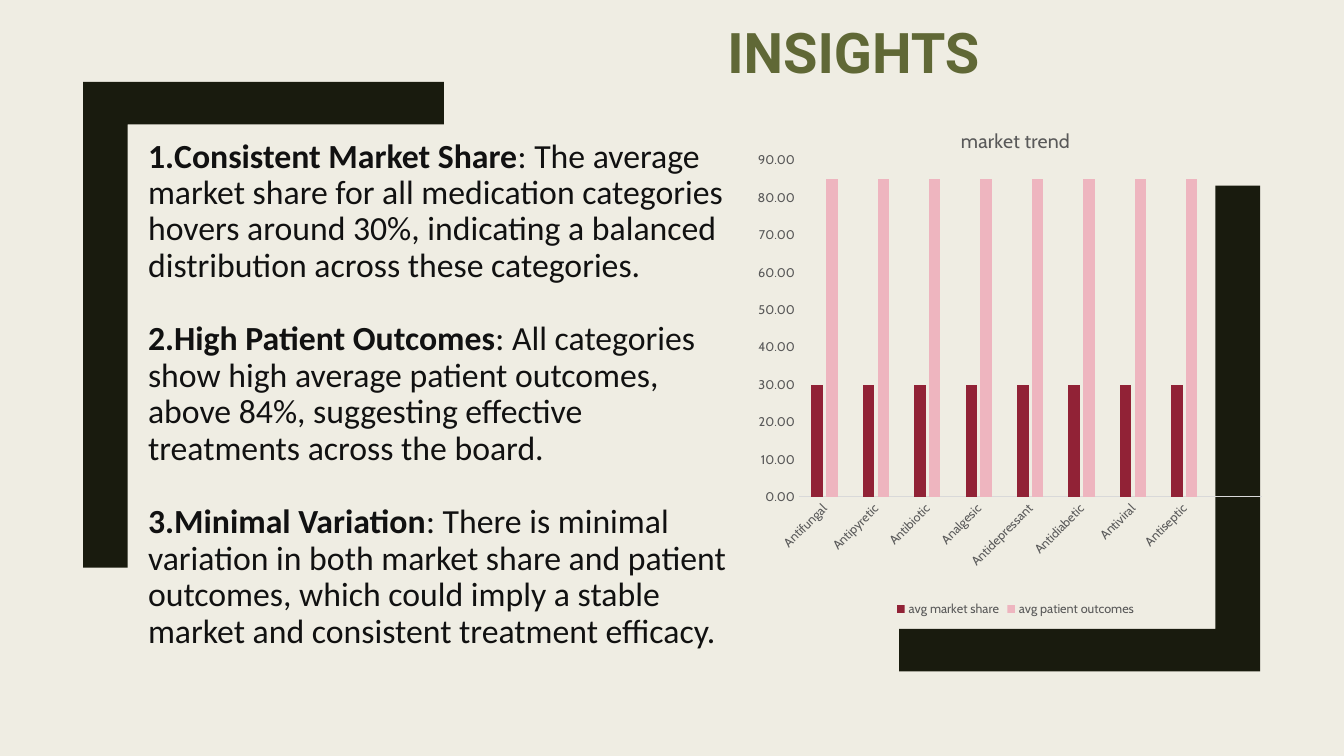
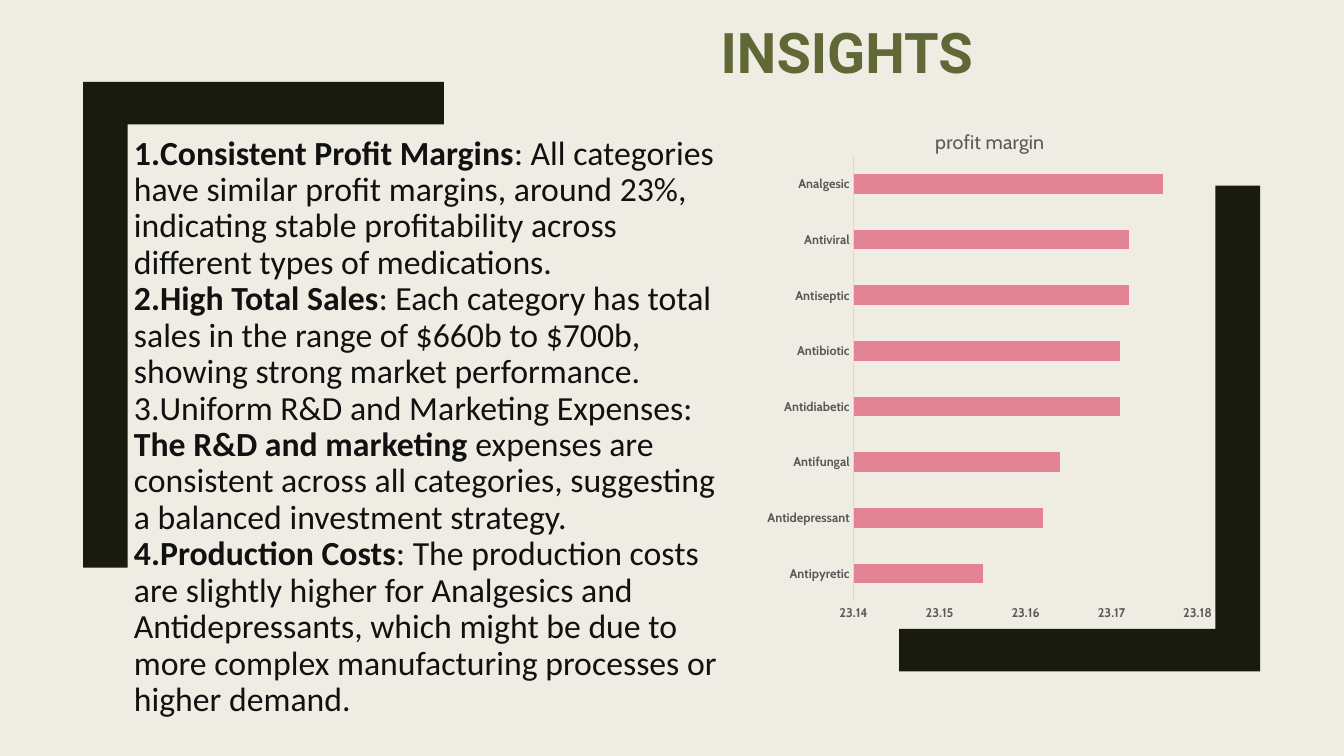
from dataclasses import dataclass

import pptx
import pptx.chart.chart
import pptx.chart.data
import pptx.dml.color
import pptx.enum.chart
import pptx.enum.text
import pptx.oxml
import pptx.oxml.ns
import pptx.slide
import pptx.text.text
import pptx.util
from lxml import etree

qn = pptx.oxml.ns.qn
ChartType = pptx.enum.chart.XL_CHART_TYPE


@dataclass(frozen=True)
class Theme:
    paper: str = "EFEDE3"
    bracket: str = "191B0E"
    title: str = "606836"
    body: str = "111111"
    chart_text: str = "595959"
    axis_line: str = "D9D9D9"
    title_font: str = "Roboto"
    body_font: str = "Calibri"
    chart_font: str = "Cabin"
    title_size: float = 40
    body_size: float = 24.1
    chart_title_size: float = 14
    label_size: float = 9
    line_spacing: float = 0.9


THEME = Theme()

# Grid: 100 columns by 100 rows
SLIDE_WIDTH, SLIDE_HEIGHT = pptx.util.Inches(13.33), pptx.util.Inches(7.5)


def columns(count: float) -> int:
    return round(SLIDE_WIDTH * count / 100)


def rows(count: float) -> int:
    return round(SLIDE_HEIGHT * count / 100)


@dataclass(frozen=True)
class Area:
    column: float
    row: float
    width: float
    height: float

    def box(self) -> tuple[int, int, int, int]:
        return columns(self.column), rows(self.row), columns(self.width), rows(self.height)


@dataclass(frozen=True)
class Bracket:
    column: float
    row: float
    direction: int


@dataclass(frozen=True)
class Span:
    text: str
    bold: bool = False


@dataclass(frozen=True)
class Series:
    name: str
    values: tuple[float | None, ...]
    color: str


@dataclass(frozen=True)
class ChartStyle:
    kind: ChartType
    gap: int
    overlap: int
    plot: tuple[float, float, float, float]
    minimum: float
    maximum: float
    step: float
    bold_labels: bool = False
    label_turn: int = 0
    legend: bool = False


@dataclass(frozen=True)
class Insight:
    title_area: Area
    body_area: Area
    item_gap: float
    items: tuple[tuple[Span, ...], ...]
    chart_area: Area
    chart_title: str
    categories: tuple[str, ...]
    series: tuple[Series, ...]
    style: ChartStyle


BRACKETS = (Bracket(93.75, 88.8, -1), Bracket(6.18, 10.85, 1))
ARM_COLUMNS, ARM_ROWS = 26.85, 64.25
THICK_COLUMNS, THICK_ROWS = 3.32, 5.6

INSIGHTS = (
    Insight(
        title_area=Area(33.5, 0, 60, 12),
        body_area=Area(10.28, 17.73, 45.53, 71.2),
        item_gap=26.5,
        items=(
            (Span("Consistent Market Share", True),
             Span(": The average market share for all medication categories hovers around 30%, "
                  "indicating a balanced distribution across these categories.")),
            (Span("High Patient Outcomes", True),
             Span(": All categories show high average patient outcomes, above 84%, "
                  "suggesting effective treatments across the board.")),
            (Span("Minimal Variation", True),
             Span(": There is minimal variation in both market share and patient outcomes, "
                  "which could imply a stable market and consistent treatment efficacy.")),
        ),
        chart_area=Area(55.8, 14.27, 39.53, 67.87),
        chart_title="market trend",
        categories=("Antifungal", "Antipyretic", "Antibiotic", "Analgesic", "Antidepressant",
                    "Antidiabetic", "Antiviral", "Antiseptic", ""),
        series=(Series("avg market share", (30,) * 8 + (None,), "912236"),
                Series("avg patient outcomes", (85,) * 8 + (None,), "EEB5BF")),
        style=ChartStyle(ChartType.COLUMN_CLUSTERED, 219, -27, (0.092, 0.102, 0.871, 0.656),
                         0, 90, 10, label_turn=-45, legend=True),
    ),
    Insight(
        title_area=Area(33, 0, 60, 12),
        body_area=Area(9.23, 17.33, 46.05, 82.67),
        item_gap=0,
        items=(
            (Span("Consistent Profit Margins", True),
             Span(": All categories have similar profit margins, around 23%, "
                  "indicating stable profitability across different types of medications.")),
            (Span("High Total Sales", True),
             Span(": Each category has total sales in the range of $660b to $700b, "
                  "showing strong market performance.")),
            (Span("Uniform R&D and Marketing Expenses: "),
             Span("The R&D and marketing", True),
             Span(" expenses are consistent across all categories, "
                  "suggesting a balanced investment strategy.")),
            (Span("Production Costs", True),
             Span(": The production costs are slightly higher for Analgesics and Antidepressants, "
                  "which might be due to more complex manufacturing processes or higher demand.")),
        ),
        chart_area=Area(55.73, 14.4, 35.85, 69.6),
        chart_title="profit margin",
        categories=("Antipyretic", "Antidepressant", "Antifungal", "Antidiabetic",
                    "Antibiotic", "Antiseptic", "Antiviral", "Analgesic"),
        series=(Series("profit margin",
                       (23.155, 23.162, 23.164, 23.171, 23.171, 23.172, 23.172, 23.176),
                       "E28394"),),
        style=ChartStyle(ChartType.BAR_CLUSTERED, 182, 0, (0.217, 0.09, 0.714, 0.846),
                         23.14, 23.18, 0.01, bold_labels=True),
    ),
)


def rgb(color: str) -> pptx.dml.color.RGBColor:
    return pptx.dml.color.RGBColor.from_string(color)


def style_font(font: pptx.text.text.Font, name: str, size: float, color: str,
               bold: bool = False) -> None:
    font.name, font.size, font.bold = name, pptx.util.Pt(size), bold
    font.color.rgb = rgb(color)


# Corner brackets
def draw_bracket(page: pptx.slide.Slide, bracket: Bracket) -> None:
    offsets = ((0, 0), (ARM_COLUMNS, 0), (ARM_COLUMNS, THICK_ROWS),
               (THICK_COLUMNS, THICK_ROWS), (THICK_COLUMNS, ARM_ROWS), (0, ARM_ROWS))
    points = [(columns(bracket.column + bracket.direction * across),
               rows(bracket.row + bracket.direction * down)) for across, down in offsets]
    builder = page.shapes.build_freeform(*points[0])
    builder.add_line_segments(points[1:], close=True)
    shape = builder.convert_to_shape()
    shape.shadow.inherit = False
    shape.fill.solid()
    shape.fill.fore_color.rgb = rgb(THEME.bracket)
    shape.line.fill.background()


# Title and numbered text
def draw_title(page: pptx.slide.Slide, area: Area) -> None:
    frame = page.shapes.add_textbox(*area.box()).text_frame
    frame.word_wrap = True
    frame.vertical_anchor = pptx.enum.text.MSO_ANCHOR.BOTTOM
    frame.text = "INSIGHTS"
    para = frame.paragraphs[0]
    para.alignment = pptx.enum.text.PP_ALIGN.CENTER
    para.line_spacing = THEME.line_spacing
    style_font(para.runs[0].font, THEME.title_font, THEME.title_size, THEME.title, True)


def draw_items(page: pptx.slide.Slide, insight: Insight) -> None:
    frame = page.shapes.add_textbox(*insight.body_area.box()).text_frame
    frame.word_wrap = True
    for index, spans in enumerate(insight.items):
        para = frame.add_paragraph() if index else frame.paragraphs[0]
        para.line_spacing = THEME.line_spacing
        if index:
            para.space_before = pptx.util.Pt(insight.item_gap)
        properties = para._p.get_or_add_pPr()
        properties.set("marL", "0")
        properties.set("indent", "0")
        etree.SubElement(properties, qn("a:buAutoNum"), type="arabicPeriod")
        for span in spans:
            run = para.add_run()
            run.text = span.text
            style_font(run.font, THEME.body_font, THEME.body_size, THEME.body, span.bold)


# Charts
def place_plot(chart: pptx.chart.chart.Chart, plot: tuple[float, float, float, float]) -> None:
    area = chart._chartSpace.find(".//" + qn("c:plotArea"))
    for old_layout in area.findall(qn("c:layout")):
        area.remove(old_layout)
    layout = etree.Element(qn("c:layout"))
    manual = etree.SubElement(layout, qn("c:manualLayout"))
    settings = (("layoutTarget", "inner"), ("xMode", "edge"), ("yMode", "edge"),
                *zip("xywh", map(str, plot)))
    for tag, value in settings:
        etree.SubElement(manual, qn("c:" + tag), val=value)
    area.insert(0, layout)


def clear_background(chart: pptx.chart.chart.Chart) -> None:
    properties = etree.Element(qn("c:spPr"))
    etree.SubElement(properties, qn("a:noFill"))
    line = etree.SubElement(properties, qn("a:ln"))
    etree.SubElement(line, qn("a:noFill"))
    chart._chartSpace.find(qn("c:chart")).addnext(properties)


def style_axes(chart: pptx.chart.chart.Chart, style: ChartStyle) -> None:
    category, value = chart.category_axis, chart.value_axis
    for axis in (category, value):
        axis.has_major_gridlines = False
        axis.major_tick_mark = axis.minor_tick_mark = pptx.enum.chart.XL_TICK_MARK.NONE
        style_font(axis.tick_labels.font, THEME.chart_font, THEME.label_size,
                   THEME.chart_text, style.bold_labels)
    category.format.line.color.rgb = rgb(THEME.axis_line)
    category.format.line.width = pptx.util.Pt(0.75)
    if style.label_turn:
        text_body = category._element.find(qn("c:txPr")).find(qn("a:bodyPr"))
        text_body.set("rot", str(style.label_turn * 60000))
    value.format.line.fill.background()
    value.minimum_scale, value.maximum_scale = style.minimum, style.maximum
    value.major_unit = style.step
    value.tick_labels.number_format = "0.00"
    value.tick_labels.number_format_is_linked = False


def draw_chart(page: pptx.slide.Slide, insight: Insight) -> None:
    style = insight.style
    data = pptx.chart.data.CategoryChartData()
    data.categories = insight.categories
    for series in insight.series:
        data.add_series(series.name, series.values)
    chart = page.shapes.add_chart(style.kind, *insight.chart_area.box(), data).chart
    style_font(chart.font, THEME.chart_font, THEME.label_size, THEME.chart_text)
    clear_background(chart)
    place_plot(chart, style.plot)
    chart.has_title = True
    heading = chart.chart_title.text_frame
    heading.text = insight.chart_title
    style_font(heading.paragraphs[0].runs[0].font, THEME.chart_font,
               THEME.chart_title_size, THEME.chart_text)
    chart.has_legend = style.legend
    if style.legend:
        chart.legend.position = pptx.enum.chart.XL_LEGEND_POSITION.BOTTOM
        chart.legend.include_in_layout = False
        style_font(chart.legend.font, THEME.chart_font, THEME.label_size, THEME.chart_text)
    style_axes(chart, style)
    bars = chart.plots[0]
    bars.vary_by_categories = False
    bars.gap_width, bars.overlap = style.gap, style.overlap
    for drawn, series in zip(bars.series, insight.series):
        drawn.format.fill.solid()
        drawn.format.fill.fore_color.rgb = rgb(series.color)


def main() -> None:
    deck = pptx.Presentation()
    deck.slide_width, deck.slide_height = SLIDE_WIDTH, SLIDE_HEIGHT
    paper = deck.slide_master.background.fill
    paper.solid()
    paper.fore_color.rgb = rgb(THEME.paper)
    for insight in INSIGHTS:
        page = deck.slides.add_slide(deck.slide_layouts[6])
        for bracket in BRACKETS:
            draw_bracket(page, bracket)
        draw_title(page, insight.title_area)
        draw_items(page, insight)
        draw_chart(page, insight)
    deck.save("out.pptx")


if __name__ == "__main__":
    main()
